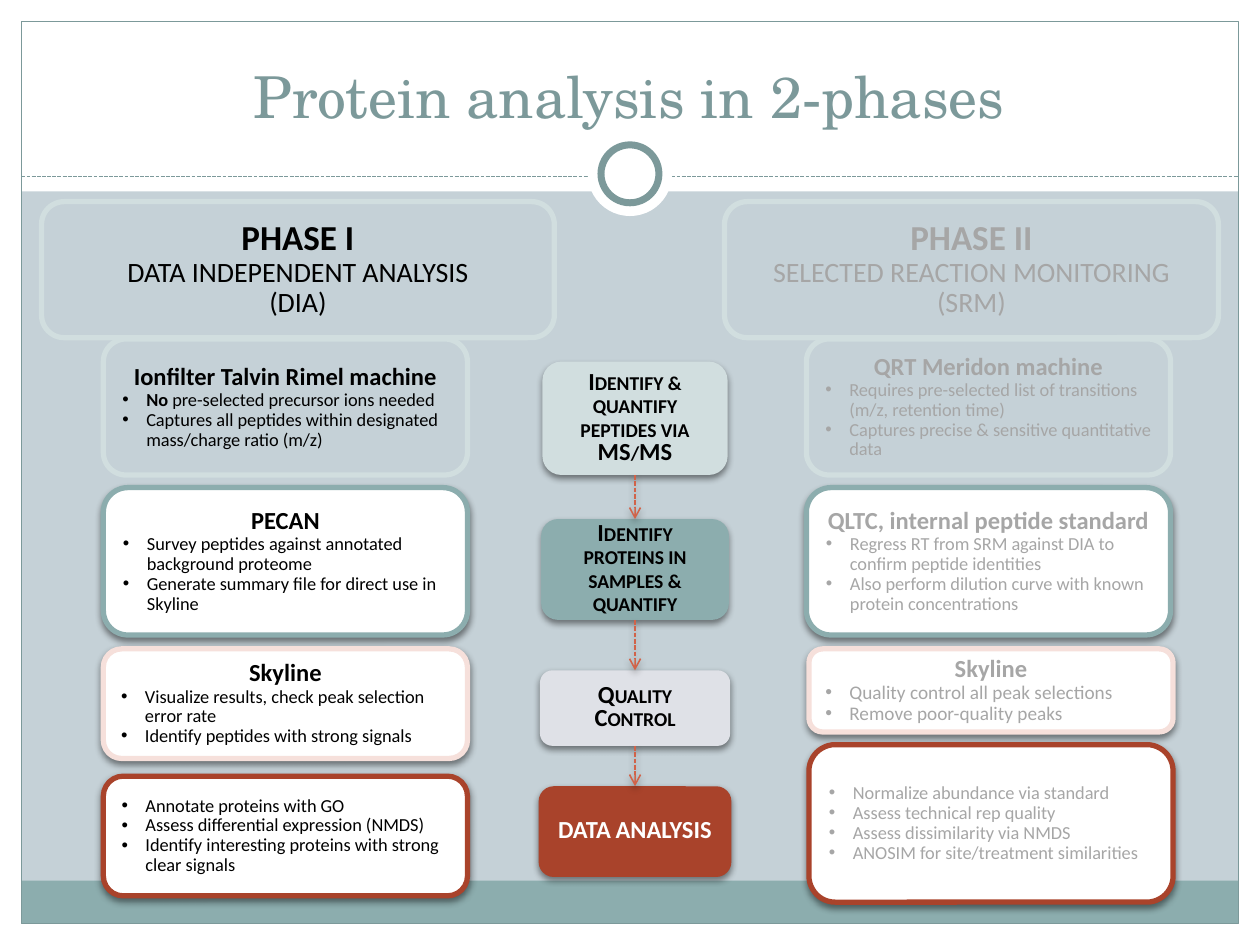
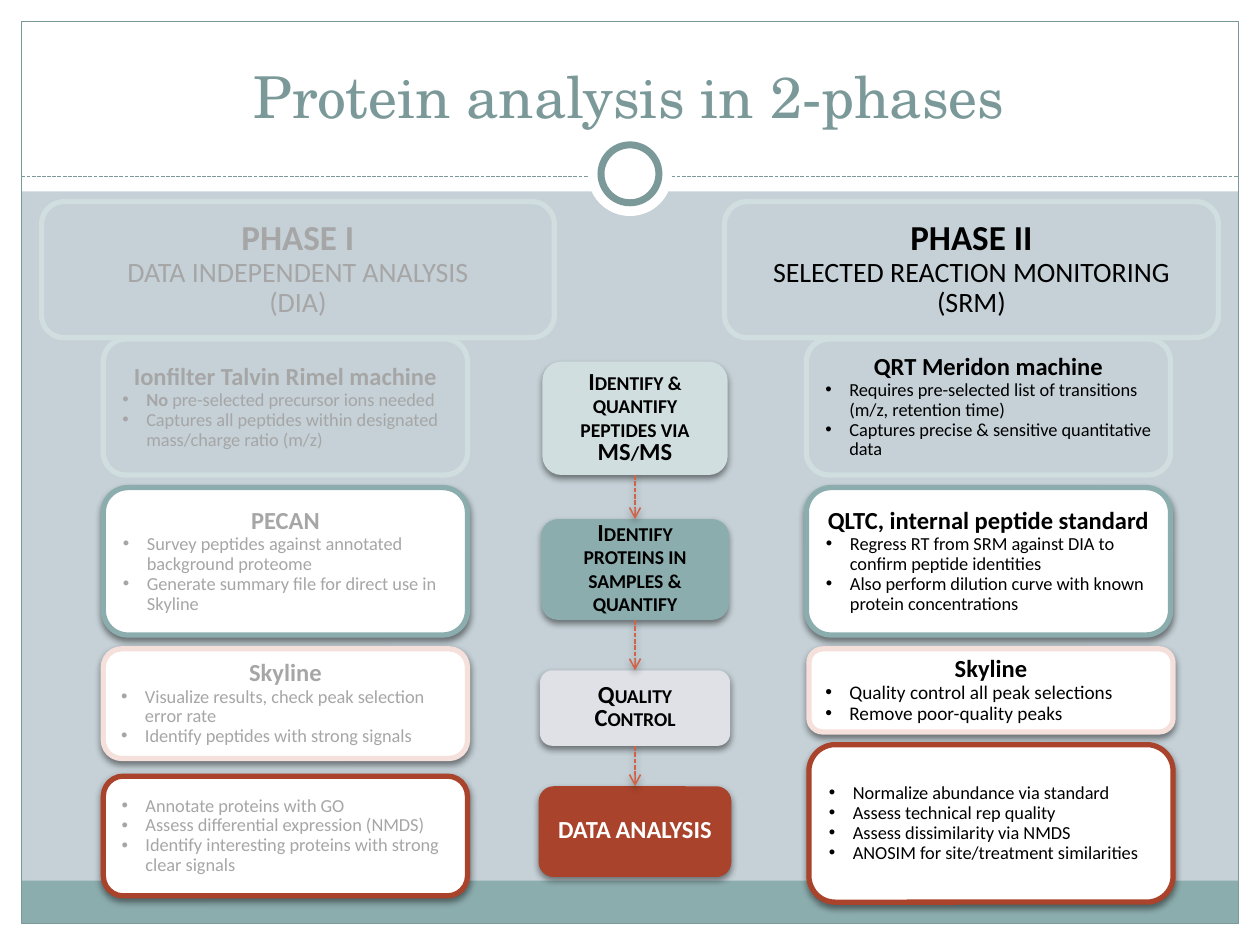
"""Build two slides on a two-phase protein analysis, each highlighting one phase."""
from dataclasses import dataclass

from lxml import etree
from pptx import Presentation
from pptx.dml.color import RGBColor
from pptx.enum.dml import MSO_LINE
from pptx.enum.shapes import MSO_CONNECTOR, MSO_SHAPE
from pptx.enum.text import MSO_ANCHOR, PP_ALIGN
from pptx.oxml.ns import qn
from pptx.util import Inches, Pt

RECT, OVAL, CARD = MSO_SHAPE.RECTANGLE, MSO_SHAPE.OVAL, MSO_SHAPE.FLOWCHART_ALTERNATE_PROCESS
LINE, DASH = MSO_CONNECTOR.STRAIGHT, MSO_LINE.SQUARE_DOT
LEFT, CENTER = PP_ALIGN.LEFT, PP_ALIGN.CENTER
MIDDLE, BOTTOM = MSO_ANCHOR.MIDDLE, MSO_ANCHOR.BOTTOM
TOP_SIDE, BOTTOM_SIDE = 0, 2


@dataclass(frozen=True)
class Theme:
    """Colours, fonts and type sizes."""
    page: str = "C5D1D7"
    white: str = "FFFFFF"
    black: str = "000000"
    faded: str = "A6A6A6"
    accent: str = "7C999A"
    teal: str = "8CADAE"
    mist: str = "D1DEDF"
    blush: str = "F6E0DB"
    grey: str = "DFE1E7"
    brick: str = "A9432B"
    arrow: str = "D16349"
    title_font: str = "TeX Gyre Schola"
    body_font: str = "Calibri"
    title: float = 33
    phase: float = 20
    method: float = 16
    head: float = 14
    bullet: float = 10.5
    bullet_large: float = 11


T = Theme()
W, H = 10, 7.5
EDGE = 0.17
HEADER_H, RULE_Y, BAND_Y = 1.52, 1.4, 6.99
RING_Y = 1.38
STEP_CENTER = 5.04
CARD_W, INDENT = 2.89, 0.19
PHASE_Y, PHASE_H = 1.6, 1.08

TITLE = "Protein analysis in 2-phases"

STEPS = [
    dict(lines=["Identify & quantify peptides via", "MS/MS"], top=2.87, w=1.47, h=0.9,
         fill=T.mist, color=T.black),
    dict(lines=["Identify proteins in samples & quantify"], top=4.12, w=1.49, h=0.8,
         fill=T.teal, color=T.black),
    dict(lines=["Quality Control"], top=5.32, w=1.51, h=0.6, fill=T.grey, color=T.black),
    dict(lines=["DATA ANALYSIS"], top=6.24, w=1.53, h=0.72, fill=T.brick, color=T.white),
]

CARD_STYLES = [
    dict(fill=None, line=T.mist, shadow=False),
    dict(fill=T.white, line=T.teal, shadow=True),
    dict(fill=T.white, line=T.blush, shadow=True),
    dict(fill=T.white, line=T.brick, shadow=True),
]

PHASES = [
    dict(name="PHASE I", method=["DATA INDEPENDENT ANALYSIS", "(DIA)"], left=0.33, w=4.07, cards=[
        dict(at=(0.82, 2.69), h=1.08, head="Ionfilter Talvin Rimel machine", bullets=[
            ("No ", "pre-selected precursor ions needed"),
            "Captures all peptides within designated mass/charge ratio (m/z)"]),
        dict(at=(0.82, 3.87), h=1.17, head="PECAN", bullets=[
            "Survey peptides against annotated background proteome",
            "Generate summary file for direct use in Skyline"]),
        dict(at=(0.82, 5.15), h=0.87, head="Skyline", bullets=[
            "Visualize results, check peak selection error rate",
            "Identify peptides with strong signals"]),
        dict(at=(0.82, 6.16), h=0.95, bullets=[
            "Annotate proteins with GO",
            "Assess differential expression (NMDS)",
            "Identify interesting proteins with strong clear signals"]),
    ]),
    dict(name="PHASE II", method=["SELECTED REACTION MONITORING (SRM)"], left=5.75, w=3.92, cards=[
        dict(at=(6.4, 2.69), h=1.08, head="QRT Meridon machine", bullets=[
            "Requires pre-selected list of transitions (m/z, retention time)",
            "Captures precise & sensitive quantitative data"]),
        dict(at=(6.4, 3.87), h=1.17, head="QLTC, internal peptide standard", bullets=[
            "Regress RT from SRM against DIA to confirm peptide identities",
            "Also perform dilution curve with known protein concentrations"]),
        dict(at=(6.42, 5.15), h=0.66, head="Skyline", size=T.bullet_large, bullets=[
            "Quality control all peak selections",
            "Remove poor-quality peaks"]),
        dict(at=(6.42, 5.91), h=1.25, bullets=[
            "Normalize abundance via standard",
            "Assess technical rep quality",
            "Assess dissimilarity via NMDS",
            "ANOSIM for site/treatment similarities"]),
    ]),
]


def rgb(code):
    """Turn a hex code into a colour."""
    return RGBColor.from_string(code)


def add_shadow(effects, alpha):
    """Put a soft downward shadow into an effect list."""
    shadow = etree.SubElement(effects, qn("a:outerShdw"), blurRad=str(Pt(4)), dist=str(Pt(2)),
                              dir="5400000", rotWithShape="0")
    color = etree.SubElement(shadow, qn("a:srgbClr"), val=T.black)
    etree.SubElement(color, qn("a:alpha"), val=str(alpha * 1000))


def add_box(s, kind, box, fill=None, line=None, width=0.75, shadow=False):
    """Add a preset shape with the given fill and outline."""
    sp = s.shapes.add_shape(kind, *map(Inches, box))
    sp.shadow.inherit = False
    if fill:
        sp.fill.solid()
        sp.fill.fore_color.rgb = rgb(fill)
    else:
        sp.fill.background()
    if line:
        sp.line.color.rgb = rgb(line)
        sp.line.width = Pt(width)
    else:
        sp.line.fill.background()
    if shadow:
        add_shadow(sp._element.spPr.find(qn("a:effectLst")), 45)
    return sp


def add_line(s, start, end, color, width):
    """Add a dashed straight connector and return it with its effect list."""
    cx = s.shapes.add_connector(LINE, *map(Inches, start + end))
    cx.line.color.rgb = rgb(color)
    cx.line.width = Pt(width)
    cx.line.dash_style = DASH
    return cx, etree.SubElement(cx._element.spPr, qn("a:effectLst"))


def para(text, size, bold=False, bullet=False, caps=False, spacing=0.9, font=T.body_font):
    """Describe one paragraph; a tuple text has a bold lead."""
    lead, rest = text if isinstance(text, tuple) else ("", text)
    runs = [(t, b) for t, b in ((lead, True), (rest, bold)) if t]
    return dict(runs=runs, size=size, bullet=bullet, caps=caps, spacing=spacing, font=font)


def write(sp, paras, color, anchor=MIDDLE):
    """Fill a shape with described paragraphs."""
    tf = sp.text_frame
    tf.word_wrap, tf.vertical_anchor = True, anchor
    for i, spec_ in enumerate(paras):
        p = tf.add_paragraph() if i else tf.paragraphs[0]
        p.alignment = LEFT if spec_["bullet"] else CENTER
        p.line_spacing = spec_["spacing"]
        if spec_["bullet"]:
            pPr = p._p.get_or_add_pPr()
            pPr.set("marL", str(Inches(INDENT)))
            pPr.set("indent", str(-Inches(INDENT)))
            etree.SubElement(pPr, qn("a:buFont"), typeface="Arial")
            etree.SubElement(pPr, qn("a:buChar"), char="•")
        for text, bold in spec_["runs"]:
            r = p.add_run()
            r.text = text
            for key, value in dict(name=spec_["font"], size=Pt(spec_["size"]), bold=bold).items():
                setattr(r.font, key, value)
            r.font.color.rgb = rgb(color)
            if spec_["caps"]:
                r._r.get_or_add_rPr().set("cap", "small")


def add_frame(s):
    """Draw the border, bands, ring and title shared by the slides."""
    s.background.fill.solid()
    s.background.fill.fore_color.rgb = rgb(T.page)
    inner_w, inner_h = W - 2 * EDGE, H - 2 * EDGE
    for box in ((0, H - EDGE, W, EDGE), (0, 0, W, HEADER_H),
                (0, 0, EDGE, H), (W - EDGE, 0, EDGE, H)):
        add_box(s, RECT, box, T.white)
    add_box(s, RECT, (EDGE, BAND_Y, inner_w, H - EDGE - BAND_Y), T.teal)
    add_box(s, RECT, (EDGE, EDGE, inner_w, inner_h), line=T.accent)
    add_line(s, (EDGE, RULE_Y), (W - EDGE, RULE_Y), T.accent, 0.75)
    for d, line in ((0.67, None), (0.46, T.accent)):
        add_box(s, OVAL, ((W - d) / 2, RING_Y - d / 2, d, d), T.white, line, 4)
    tb = s.shapes.add_textbox(*map(Inches, (0.33, 0.25, 9.33, 0.83)))
    write(tb, [para(TITLE, T.title, spacing=1.0, font=T.title_font)], T.accent, BOTTOM)


def add_steps(s):
    """Draw the central workflow and the arrows between its steps."""
    boxes = []
    for step in STEPS:
        box = (STEP_CENTER - step["w"] / 2, step["top"], step["w"], step["h"])
        sp = add_box(s, CARD, box, step["fill"], shadow=True)
        write(sp, [para(t, T.head, True, caps=True, spacing=0.8) for t in step["lines"]],
              step["color"])
        boxes.append(sp)
    for upper, lower in zip(boxes, boxes[1:]):
        cx, effects = add_line(s, (0, 0), (1, 1), T.arrow, 0.9)
        cx.begin_connect(upper, BOTTOM_SIDE)
        cx.end_connect(lower, TOP_SIDE)
        etree.SubElement(cx.line._get_or_add_ln(), qn("a:tailEnd"), type="arrow")
        add_shadow(effects, 35)


def add_phase(s, phase, color):
    """Draw a phase heading and its column of cards."""
    for card, style in zip(phase["cards"], CARD_STYLES):
        sp = add_box(s, CARD, (*card["at"], CARD_W, card["h"]), width=3, **style)
        paras = [para(card["head"], T.head, True)] if "head" in card else []
        size = card.get("size", T.bullet)
        paras += [para(t, size, bullet=True) for t in card["bullets"]]
        write(sp, paras, color)
    sp = add_box(s, CARD, (phase["left"], PHASE_Y, phase["w"], PHASE_H), line=T.mist, width=3)
    write(sp, [para(phase["name"], T.phase, True)]
          + [para(t, T.method) for t in phase["method"]], color)


def main():
    """Build one slide per highlighted phase."""
    prs = Presentation()
    prs.slide_width, prs.slide_height = Inches(W), Inches(H)
    for active in PHASES:
        s = prs.slides.add_slide(prs.slide_layouts[6])
        add_frame(s)
        add_steps(s)
        for phase in PHASES:
            add_phase(s, phase, T.black if phase is active else T.faded)
    prs.save("out.pptx")


if __name__ == "__main__":
    main()
